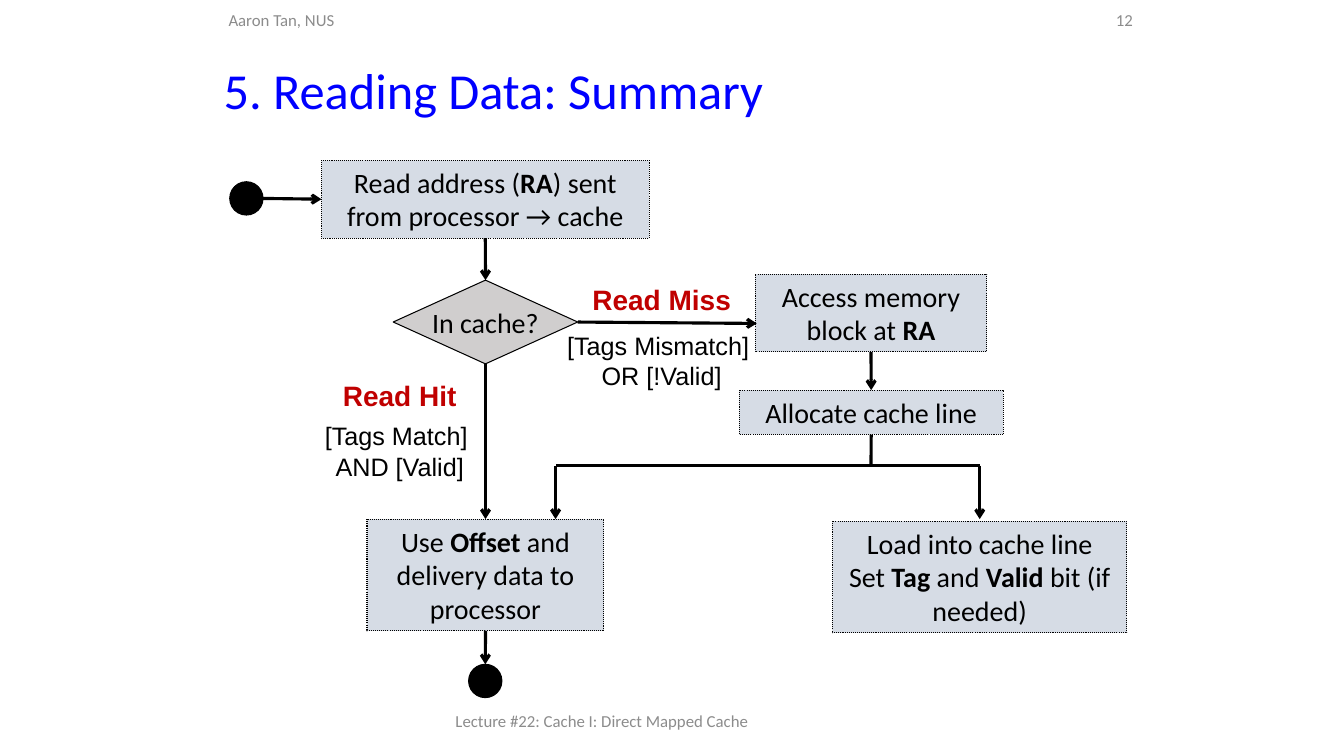
from lxml.etree import SubElement
from pptx import Presentation
from pptx.dml.color import RGBColor
from pptx.enum.dml import MSO_LINE
from pptx.enum.shapes import MSO_CONNECTOR, MSO_SHAPE
from pptx.enum.text import MSO_ANCHOR, PP_ALIGN
from pptx.oxml.ns import qn
from pptx.util import Cm, Pt

TOP, LEFT, BOTTOM, RIGHT = range(4)


def colour(value):
    return RGBColor.from_string(value)


class Flowchart:
    """Style and current slide, with one method per kind of element."""
    BLACK, BLUE, GREY, RED = "000000", "0000FF", "8C8C8C", "C00000"
    STEP_FILL, DECISION_FILL = "D6DCE5", "D0CECE"
    BODY, LABEL = "Calibri", "Arial"

    def __init__(self, presentation):
        self.slide = presentation.slides.add_slide(presentation.slide_layouts[5])

    def style(self, paragraph, size, font, hue, align, bold=None):
        paragraph.alignment = align
        paragraph.font.size = Pt(size)
        paragraph.font.name = font
        paragraph.font.bold = bold
        paragraph.font.color.rgb = colour(hue)

    def title(self, text, left, top, width, height):
        title = self.slide.shapes.title
        title.left, title.top = Cm(left), Cm(top)
        title.width, title.height = Cm(width), Cm(height)
        frame = title.text_frame
        frame.text = text
        frame.vertical_anchor = MSO_ANCHOR.MIDDLE
        frame.paragraphs[0].line_spacing = 0.9
        self.style(frame.paragraphs[0], 36, self.BODY, self.BLUE, PP_ALIGN.LEFT)

    def text_frame(self, left, top, width, height):
        box = self.slide.shapes.add_textbox(Cm(left), Cm(top), Cm(width), Cm(height))
        box.text_frame.word_wrap = True
        return box.text_frame

    def margin_note(self, text, left, top, width, height, align=PP_ALIGN.LEFT):
        frame = self.text_frame(left, top, width, height)
        frame.vertical_anchor = MSO_ANCHOR.MIDDLE
        frame.text = text
        self.style(frame.paragraphs[0], 12, self.BODY, self.GREY, align)

    def shape(self, kind, fill, left, top, width, height):
        shape = self.slide.shapes.add_shape(
            kind, Cm(left), Cm(top), Cm(width), Cm(height))
        shape.shadow.inherit = False
        shape.fill.solid()
        shape.fill.fore_color.rgb = colour(fill)
        shape.line.color.rgb = colour(self.BLACK)
        shape.line.width = Pt(0.75)
        return shape

    def dot(self, left, top):
        return self.shape(MSO_SHAPE.OVAL, self.BLACK, left, top, 0.84, 0.84)

    def step(self, lines, left, top, width, height):
        """Words between asterisks are bold."""
        shape = self.shape(MSO_SHAPE.RECTANGLE, self.STEP_FILL, left, top, width, height)
        shape.line.dash_style = MSO_LINE.ROUND_DOT
        frame = shape.text_frame
        frame.word_wrap = True
        frame.vertical_anchor = MSO_ANCHOR.TOP
        for index, line in enumerate(lines):
            paragraph = frame.add_paragraph() if index else frame.paragraphs[0]
            self.style(paragraph, 20, self.BODY, self.BLACK, PP_ALIGN.CENTER)
            for position, part in enumerate(line.split("*")):
                run = paragraph.add_run()
                run.text = part
                if position % 2:
                    run.font.bold = True
        return shape

    def decision(self, text, left, top, width, height):
        shape = self.shape(MSO_SHAPE.DIAMOND, self.DECISION_FILL, left, top, width, height)
        frame = shape.text_frame
        frame.text = text
        frame.word_wrap = False
        frame.vertical_anchor = MSO_ANCHOR.MIDDLE
        self.style(frame.paragraphs[0], 20, self.BODY, self.BLACK, PP_ALIGN.CENTER)
        return shape

    def outcome(self, name, condition, gap, left, top, width, height):
        frame = self.text_frame(left, top, width, height)
        heading, detail = frame.paragraphs[0], frame.add_paragraph()
        heading.text, detail.text = name, condition
        self.style(heading, 20, self.LABEL, self.RED, PP_ALIGN.CENTER, True)
        self.style(detail, 18, self.LABEL, self.BLACK, PP_ALIGN.CENTER)
        detail.space_before = Pt(gap)

    def line(self, start, end, arrow=True):
        """Each end is an (x, y) point in cm or a (shape, side) pair."""
        connector = self.slide.shapes.add_connector(MSO_CONNECTOR.STRAIGHT, 0, 0, 0, 0)
        if isinstance(start[0], float):
            connector.begin_x, connector.begin_y = Cm(start[0]), Cm(start[1])
        else:
            connector.begin_connect(*start)
        if isinstance(end[0], float):
            connector.end_x, connector.end_y = Cm(end[0]), Cm(end[1])
        else:
            connector.end_connect(*end)
        connector.line.color.rgb = colour(self.BLACK)
        connector.line.width = Pt(2.25)
        properties = connector.line._get_or_add_ln()
        if arrow:
            SubElement(properties, qn("a:tailEnd"), type="arrow")
        SubElement(properties.getparent(), qn("a:effectLst"))


def main():
    presentation = Presentation()
    presentation.slide_width, presentation.slide_height = Cm(33.87), Cm(19.05)
    chart = Flowchart(presentation)

    # Title and margins
    chart.title("5. Reading Data: Summary", 5.38, 1.45, 23.39, 1.78)
    chart.margin_note("Lecture #22: Cache I: Direct Mapped Cache", 11.23, 17.65, 11.43, 1.02)
    chart.margin_note("12", 26.39, 0.05, 2.41, 0.91, PP_ALIGN.RIGHT)
    chart.margin_note("Aaron Tan, NUS", 5.51, 0.05, 8.05, 0.91)

    # Steps
    start = chart.dot(5.79, 4.58)
    address = chart.step(["Read address (*RA*) sent from processor → cache"],
                         8.1, 4.04, 8.26, 1.96)
    in_cache = chart.decision("In cache?", 9.91, 7.06, 4.65, 2.11)
    memory = chart.step(["Access memory block at *RA*"], 19.03, 6.91, 5.84, 1.96)
    allocate = chart.step(["Allocate cache line"], 18.63, 9.83, 6.65, 1.12)
    deliver = chart.step(["Use *Offset* and delivery data to processor"],
                         9.25, 13.08, 5.97, 2.82)
    chart.step(["Load into cache line", "Set *Tag* and *Valid *bit (if needed)"],
               20.98, 13.13, 7.42, 2.82)
    finish = chart.dot(11.81, 16.74)

    # Flow
    chart.line((start, RIGHT), (address, LEFT))
    chart.line((address, BOTTOM), (in_cache, TOP))
    chart.line((in_cache, BOTTOM), (deliver, TOP))
    chart.line((in_cache, RIGHT), (19.07, 8.15))
    chart.line((memory, BOTTOM), (allocate, TOP))
    chart.line((deliver, BOTTOM), (finish, TOP))

    # Fork after allocation
    fork_y, arrow_y, deliver_x, load_x = 11.73, 13.08, 14.0, 24.69
    chart.line((allocate, BOTTOM), (21.95, fork_y), arrow=False)
    chart.line((load_x, fork_y), (deliver_x, fork_y), arrow=False)
    for branch_x in (deliver_x, load_x):
        chart.line((branch_x, fork_y), (branch_x, arrow_y))

    # Outcomes of the decision
    chart.outcome("Read Hit", "[Tags Match] \vAND [Valid]", 6, 7.32, 9.42, 5.51, 2.87)
    chart.outcome("Read Miss", "[Tags Mismatch] \vOR [!Valid]", 10, 13.92, 6.99, 5.51, 3.02)

    presentation.save("out.pptx")


if __name__ == "__main__":
    main()
